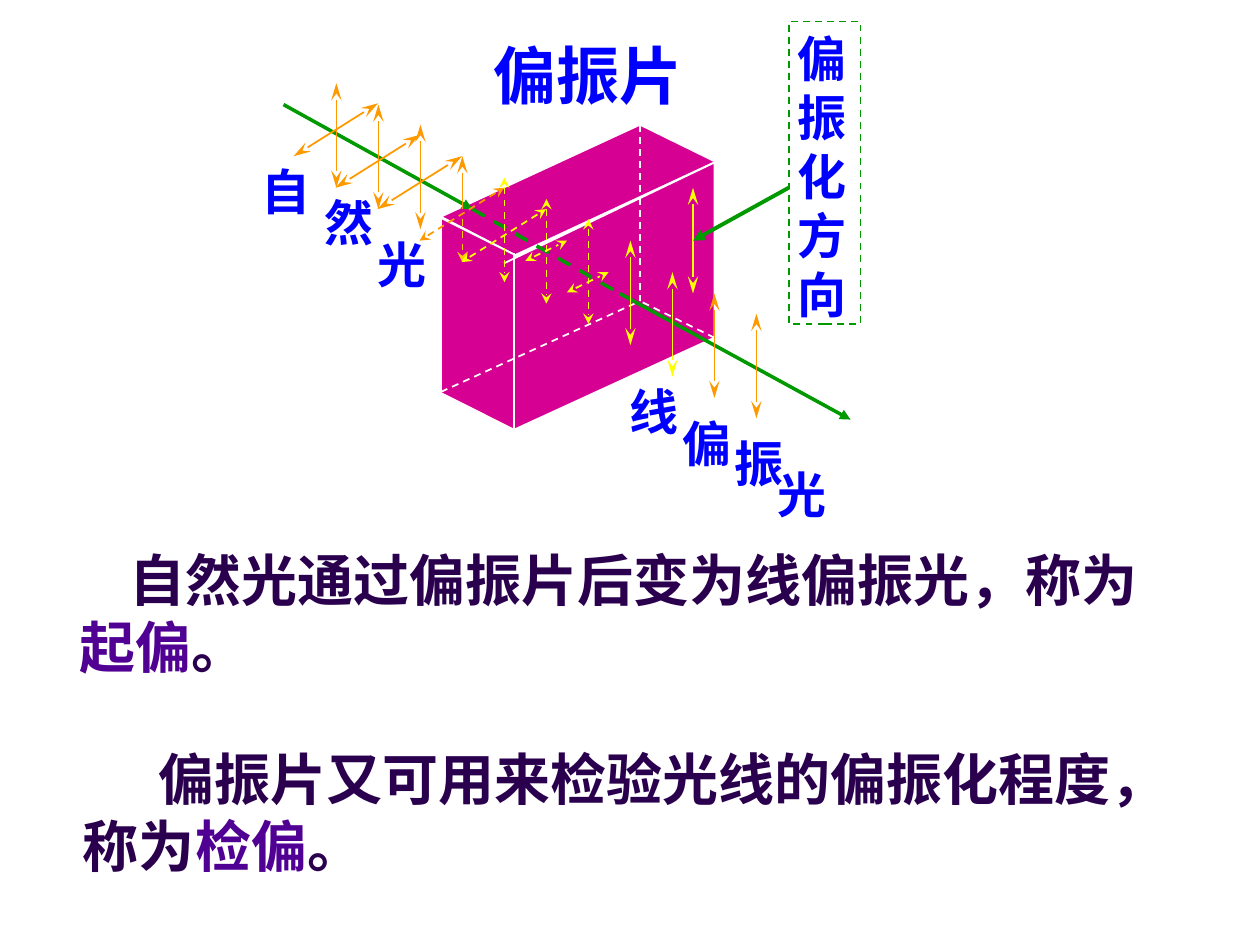
from dataclasses import dataclass

from lxml import etree
from pptx import Presentation
from pptx.dml.color import RGBColor
from pptx.enum.dml import MSO_LINE
from pptx.enum.shapes import MSO_CONNECTOR, MSO_SHAPE
from pptx.enum.text import MSO_ANCHOR, MSO_AUTO_SIZE, PP_ALIGN
from pptx.oxml.ns import qn
from pptx.util import Inches, Pt

DASH = MSO_LINE.DASH
STRAIGHT = MSO_CONNECTOR.STRAIGHT
RECTANGLE = MSO_SHAPE.RECTANGLE
TOP = MSO_ANCHOR.TOP
LEFT = PP_ALIGN.LEFT
NO_AUTOFIT = MSO_AUTO_SIZE.NONE


@dataclass(frozen=True)
class Theme:
    label: str = "0000FF"
    body: str = "2A004E"
    term: str = "500093"
    plate: str = "D60093"
    edge: str = "FFFFFF"
    beam: str = "009900"
    outside: str = "FF9900"
    inside: str = "FFFF00"
    entering: str = "FFCC00"
    title_size: int = 36
    body_size: int = 32
    label_size: int = 28
    label_font: str = "Noto Sans CJK SC"
    body_font: str = "TeX Gyre Bonum"


@dataclass(frozen=True)
class Box:
    left: float
    top: float
    width: float
    height: float

    def point(self, x, y):
        return Inches(self.left + x), Inches(self.top + y)

    def frame(self):
        return tuple(map(Inches, (self.left, self.top, self.width, self.height)))


THEME = Theme()


def write_text(frame, paragraphs, *, size, font, color, wrap=False, indent=0):
    """Each paragraph is a list of runs; a run is a text or a (text, color) pair."""
    frame.auto_size = NO_AUTOFIT
    frame.word_wrap = wrap
    frame.vertical_anchor = TOP
    frame.margin_left = frame.margin_right = Inches(0.1)
    frame.margin_top = frame.margin_bottom = Inches(0.05)
    for i, runs in enumerate(paragraphs):
        paragraph = frame.add_paragraph() if i else frame.paragraphs[0]
        paragraph.alignment = LEFT
        if indent and i == 0:
            paragraph._p.get_or_add_pPr().set("indent", str(Inches(indent)))
        for part in runs:
            text, run_color = part if isinstance(part, tuple) else (part, color)
            run = paragraph.add_run()
            run.text = text
            run.font.size = Pt(size)
            run.font.bold = True
            run.font.name = font
            run.font.color.rgb = RGBColor.from_string(run_color)
            etree.SubElement(run._r.get_or_add_rPr(), qn("a:ea"), typeface=font)


def add_label(slide, box, paragraphs):
    label = slide.shapes.add_textbox(*box.frame())
    write_text(label.text_frame, paragraphs, size=THEME.label_size,
               font=THEME.label_font, color=THEME.label)


def style_line(line, color, width, dashed=False):
    line.color.rgb = RGBColor.from_string(color)
    line.width = Pt(width)
    if dashed:
        line.dash_style = DASH


def add_line(slide, box, start, end, color, width=1, dashed=False, head=None, tail=None):
    connector = slide.shapes.add_connector(STRAIGHT, *box.point(*start), *box.point(*end))
    style_line(connector.line, color, width, dashed)
    outline = connector.line._get_or_add_ln()
    for tag, arrow in (("a:headEnd", head), ("a:tailEnd", tail)):
        if arrow:
            # Solid vibrations carry long heads
            length = "lg" if arrow == "stealth" and not dashed else "med"
            etree.SubElement(outline, qn(tag), type=arrow, len=length)
    etree.SubElement(connector._element.spPr, qn("a:effectLst"))


def add_vibration(slide, box, start, span, color, dashed=False, width=1):
    end = (start[0] + span[0], start[1] + span[1])
    add_line(slide, box, start, end, color, width, dashed, head="stealth", tail="stealth")


def add_plate(slide, box):
    # Faces: top, left end, front
    faces = [
        [(2.17, 0.29), (1.58, 0), (0, 0.73), (0.58, 1.03)],
        [(0, 0.74), (0.58, 1.03), (0.58, 2.42), (0, 2.13), (0, 0.74)],
        [(0.58, 1.02), (0.58, 2.42), (2.17, 1.69), (2.17, 0.3), (0.5, 1.1)],
    ]
    for corners in faces:
        first, *rest = [box.point(*corner) for corner in corners]
        builder = slide.shapes.build_freeform(*first)
        builder.add_line_segments(rest, close=False)
        face = builder.convert_to_shape()
        face.shadow.inherit = False
        face.fill.solid()
        face.fill.fore_color.rgb = RGBColor.from_string(THEME.plate)
        style_line(face.line, THEME.edge, 1)
    # Hidden edges meet at the far bottom corner
    for end in [(1.58, 0), (0, 2.12), (2.17, 1.69)]:
        add_line(slide, box, end, (1.58, 1.4), THEME.edge, dashed=True)


def add_light(slide, box):
    # Beam before, behind and after the plate
    entry, leaving = (1.5, 1), (2.67, 1.67)
    add_line(slide, box, leaving, (4.5, 2.67), THEME.beam, 2, tail="triangle")
    add_line(slide, box, (0, 0.17), entry, THEME.beam, 2, tail="triangle")
    add_line(slide, box, entry, leaving, THEME.beam, 2, dashed=True)

    # Vertical vibrations, evenly spaced along the beam
    step, first_x = 1 / 3, 0.42
    verticals = [
        (0, 0, THEME.outside, False), (1, 0.17, THEME.outside, False),
        (2, 0.33, THEME.outside, False), (4, 0.75, THEME.inside, True),
        (5, 0.92, THEME.inside, True), (6, 1.08, THEME.inside, True),
        (7, 1.25, THEME.inside, False), (8, 1.5, THEME.inside, False),
        (9, 1.67, THEME.outside, False), (10, 1.83, THEME.outside, False),
    ]
    for i, top, color, dashed in verticals:
        add_vibration(slide, box, (first_x + i * step, top), (0, 0.83), color, dashed)
    # The vibration that is half hidden at the plate's edge
    x = first_x + 3 * step
    add_line(slide, box, (x, 0.58), (x, 1), THEME.outside, head="stealth")
    add_line(slide, box, (x, 1.08), (x, 1.42), THEME.entering, dashed=True, tail="stealth")

    # Slanted vibrations, which shrink inside the plate
    slants = [(0.58, THEME.outside, False), (0.83, THEME.outside, False),
              (1, THEME.outside, False), (1.25, THEME.outside, True),
              (1.42, THEME.inside, True)]
    for i, (y, color, dashed) in enumerate(slants):
        add_vibration(slide, box, (0.08 + i * step, y), (0.67, -0.42), color, dashed)
    for start in [(1.92, 1.41), (2.25, 1.66)]:
        add_vibration(slide, box, start, (0.33, -0.16), THEME.inside, True)


def add_direction(slide, box):
    # Framed vertical caption, its pointer and the axis on the plate
    caption = Box(box.left - 0.03, box.top + 0.01, 0.59, 2.44)
    add_label(slide, caption, [[character] for character in "偏振化方向"])
    border = slide.shapes.add_shape(RECTANGLE, *box.frame())
    border.shadow.inherit = False
    border.fill.background()
    style_line(border.line, THEME.beam, 1, dashed=True)
    add_vibration(slide, box, (-0.76, 1.32), (0, 0.84), THEME.inside, width=1.5)
    add_line(slide, box, (0, 1.32), (-0.76, 1.74), THEME.beam, 2.25, tail="triangle")


def add_stepped_label(slide, box, text, offsets):
    for character, (x, y) in zip(text, offsets):
        add_label(slide, Box(box.left + x, box.top + y, 0.59, 0.57), [[character]])


def add_title(slide, box):
    title = slide.shapes.title
    title.left, title.top, title.width, title.height = box.frame()
    write_text(title.text_frame, [["偏振片"]], size=THEME.title_size,
               font=THEME.label_font, color=THEME.label)


def add_statement(slide, box, paragraphs, indent):
    statement = slide.shapes.add_textbox(*box.frame())
    write_text(statement.text_frame, paragraphs, size=THEME.body_size,
               font=THEME.body_font, color=THEME.body, wrap=True, indent=indent)


def main():
    deck = Presentation()
    deck.slide_width, deck.slide_height = Inches(10), Inches(7.5)
    slide = deck.slides.add_slide(deck.slide_layouts[5])
    add_title(slide, Box(3.82, 0.24, 1.8, 0.7))
    add_plate(slide, Box(3.5, 0.99, 2.17, 2.42))
    add_light(slide, Box(2.25, 0.66, 4.5, 2.67))
    add_direction(slide, Box(6.26, 0.17, 0.57, 2.4))
    add_stepped_label(slide, Box(1.98, 1.23, 1.51, 1.15), "自然光",
                      [(0, 0), (0.5, 0.25), (0.92, 0.58)])
    add_stepped_label(slide, Box(4.9, 2.98, 1.76, 1.23), "线偏振光",
                      [(0, 0), (0.42, 0.25), (0.83, 0.41), (1.17, 0.66)])
    add_statement(slide, Box(0.53, 4.28, 8.68, 1.17),
                  [["自然光通过偏振片后变为线偏振光，称为"],
                   [("起偏", THEME.term), "。"]], 0.4)
    add_statement(slide, Box(0.56, 5.86, 8.91, 1.17),
                  [["偏振片又可用来检验光线的偏振化程度，"],
                   ["称为", ("检偏", THEME.term), "。"]], 0.6)
    deck.save("out.pptx")


if __name__ == "__main__":
    main()
